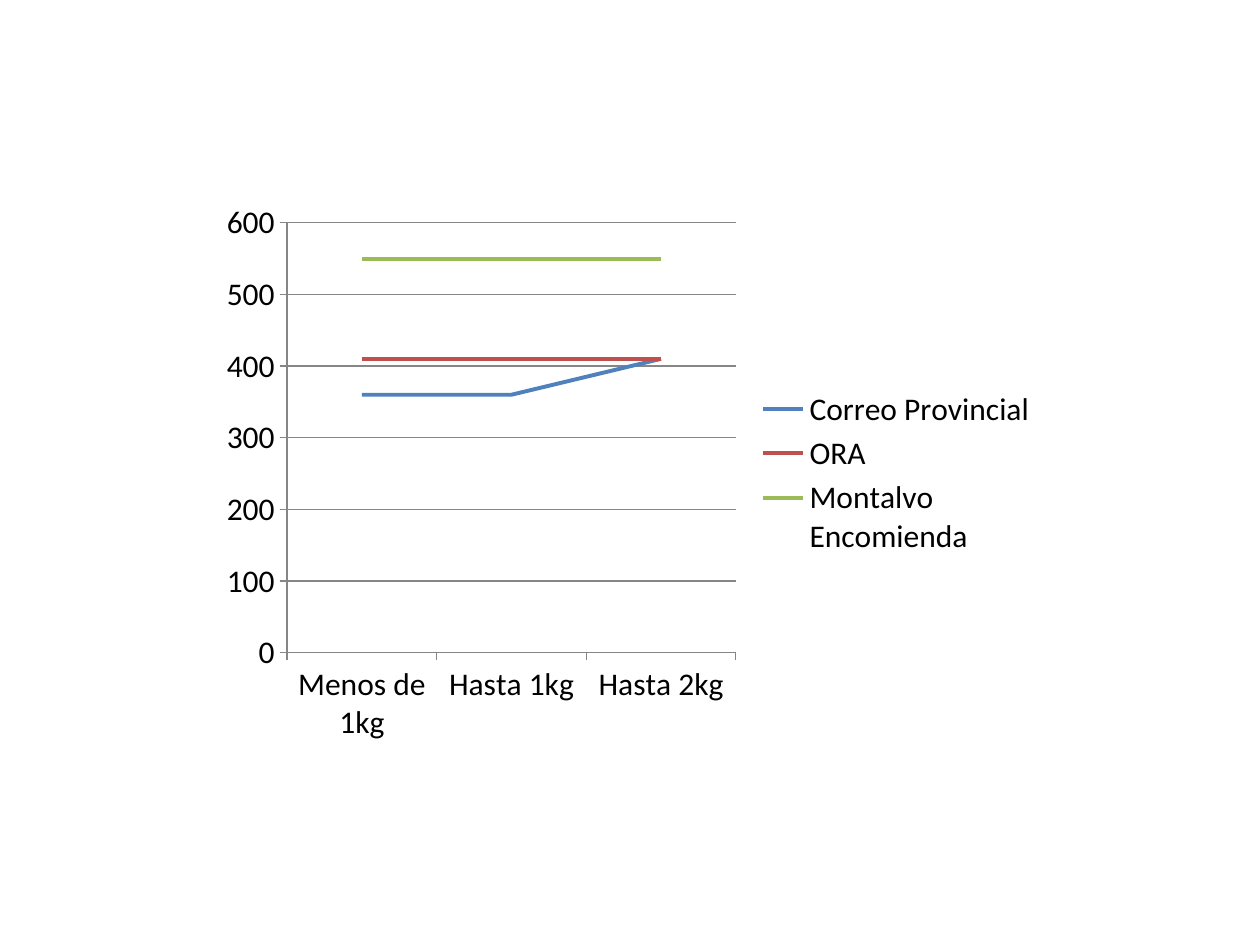
from pptx import Presentation
from pptx.chart.data import CategoryChartData
from pptx.dml.color import RGBColor
from pptx.enum.chart import XL_CHART_TYPE, XL_LEGEND_POSITION, XL_MARKER_STYLE, XL_TICK_MARK
from pptx.util import Pt

WEIGHTS = ["Menos de 1kg", "Hasta 1kg", "Hasta 2kg"]
CARRIERS = [
    ("Correo Provincial", [360, 360, 410], "4F81BD"),
    ("ORA", [410, 410, 410], "C0504D"),
    ("Montalvo Encomienda", [550, 550, 550], "9BBB59"),
]


def paint_line(line, color, width):
    line.color.rgb = RGBColor.from_string(color)
    line.width = Pt(width)


def add_rate_chart(slide, left, top, width, height):
    rates = CategoryChartData()
    rates.categories = WEIGHTS
    for carrier, prices, _ in CARRIERS:
        rates.add_series(carrier, prices)
    chart = slide.shapes.add_chart(
        XL_CHART_TYPE.LINE, Pt(left), Pt(top), Pt(width), Pt(height), rates
    ).chart
    chart.has_title = False
    chart.font.name = "Calibri"
    chart.font.size = Pt(18)
    chart.font.color.rgb = RGBColor.from_string("000000")

    chart.has_legend = True
    chart.legend.position = XL_LEGEND_POSITION.RIGHT
    chart.legend.include_in_layout = False

    for axis in (chart.category_axis, chart.value_axis):
        axis.major_tick_mark = XL_TICK_MARK.OUTSIDE
        axis.minor_tick_mark = XL_TICK_MARK.NONE
        paint_line(axis.format.line, "868686", 0.75)
    price_axis = chart.value_axis
    price_axis.minimum_scale = 0
    price_axis.maximum_scale = 600
    price_axis.major_unit = 100
    price_axis.has_major_gridlines = True
    paint_line(price_axis.major_gridlines.format.line, "868686", 0.75)

    plot = chart.plots[0]
    plot.vary_by_categories = False
    for series, (_, _, color) in zip(plot.series, CARRIERS):
        series.smooth = False
        series.marker.style = XL_MARKER_STYLE.NONE
        paint_line(series.format.line, color, 2.25)


def main():
    presentation = Presentation()
    presentation.slide_width = Pt(720)
    presentation.slide_height = Pt(540)
    slide = presentation.slides.add_slide(presentation.slide_layouts[6])
    add_rate_chart(slide, 120, 110, 480, 320)
    presentation.save("out.pptx")


if __name__ == "__main__":
    main()
